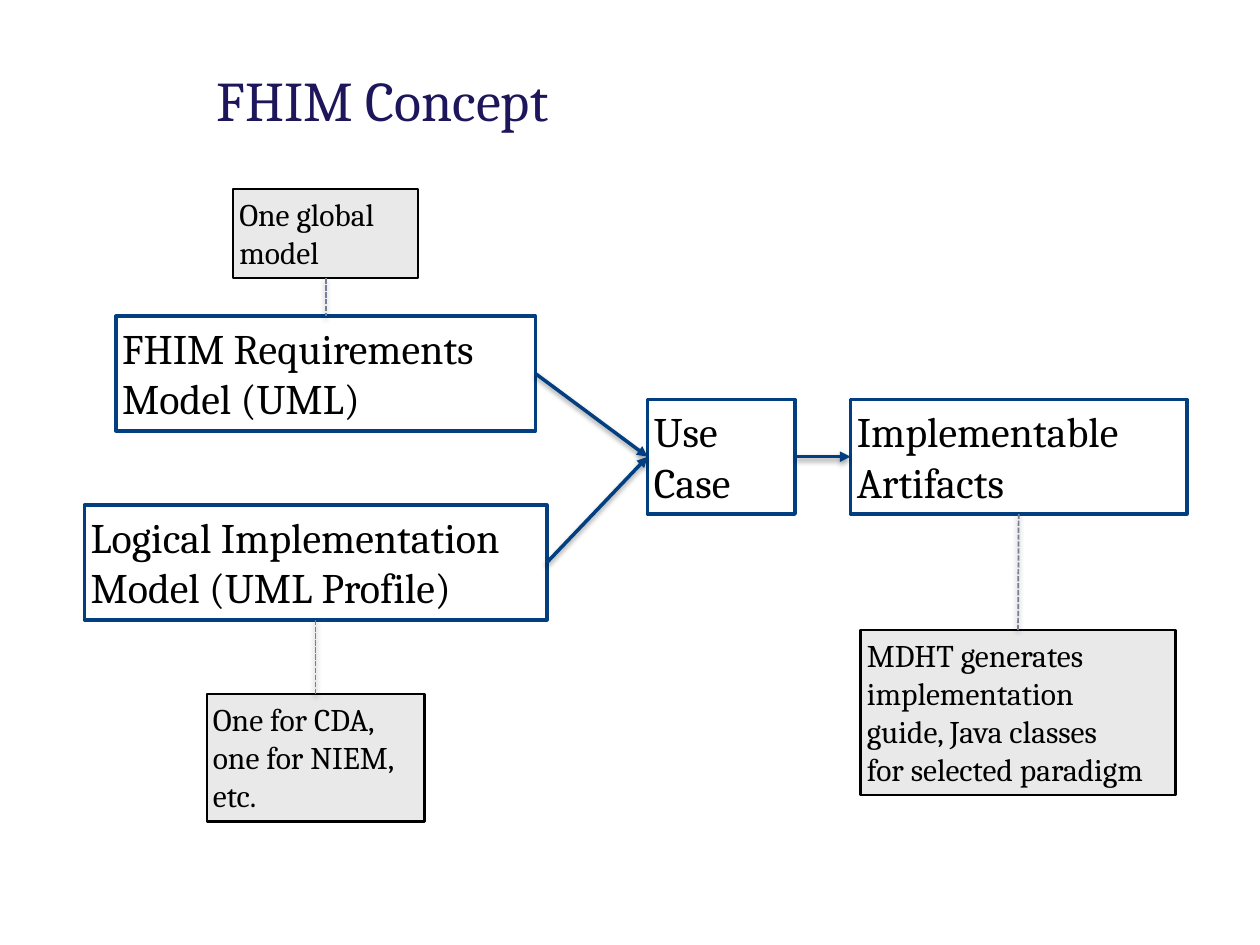
from lxml import etree
from pptx import Presentation
from pptx.dml.color import RGBColor
from pptx.enum.dml import MSO_LINE
from pptx.enum.shapes import MSO_CONNECTOR, MSO_SHAPE
from pptx.enum.text import MSO_ANCHOR, MSO_AUTO_SIZE, PP_ALIGN
from pptx.oxml import parse_xml
from pptx.oxml.ns import nsdecls, qn
from pptx.util import Inches, Pt

NAVY = RGBColor(0x1D, 0x16, 0x5A)
BLUE = RGBColor(0x01, 0x3F, 0x80)
SLATE = RGBColor(0x77, 0x7F, 0x98)
GREY = RGBColor(0xE9, 0xE9, 0xE9)
WHITE = RGBColor(0xFF, 0xFF, 0xFF)
BLACK = RGBColor(0x00, 0x00, 0x00)

FONT = "Cambria"
TOP, LEFT, BOTTOM, RIGHT = range(4)
SHADOW = (
    f'<a:effectLst {nsdecls("a")}>'
    '<a:outerShdw blurRad="38100" dist="20320" dir="5400000" rotWithShape="0">'
    '<a:srgbClr val="000000"><a:alpha val="38000"/></a:srgbClr>'
    '</a:outerShdw></a:effectLst>'
)


def write_text(shape, text, size, color, anchor):
    frame = shape.text_frame
    frame.word_wrap = True
    frame.vertical_anchor = anchor
    frame.margin_left = frame.margin_right = Inches(0.05)
    frame.margin_top = frame.margin_bottom = Inches(0.05)
    frame.text = text
    for para in frame.paragraphs:
        para.alignment = PP_ALIGN.LEFT
        para.font.name = FONT
        para.font.size = Pt(size)
        para.font.color.rgb = color


def add_title(page, text):
    box = page.shapes.add_textbox(Inches(1.67), 0, Inches(8.42), Inches(1.58))
    write_text(box, text, 32, NAVY, MSO_ANCHOR.MIDDLE)


def add_box(page, text, place, size, fill, line, weight):
    box = page.shapes.add_shape(MSO_SHAPE.RECTANGLE, *map(Inches, place))
    box.shadow.inherit = False
    box.fill.solid()
    box.fill.fore_color.rgb = fill
    box.line.color.rgb = line
    box.line.width = Pt(weight)
    write_text(box, text, size, BLACK, MSO_ANCHOR.TOP)
    box.text_frame.auto_size = MSO_AUTO_SIZE.SHAPE_TO_FIT_TEXT
    return box


def add_step(page, text, place):
    return add_box(page, text, place, 24, WHITE, BLUE, 2)


def add_note(page, text, place):
    return add_box(page, text, place, 18, GREY, BLACK, 1.25)


def add_link(page, start, start_side, end, end_side, color, weight):
    link = page.shapes.add_connector(MSO_CONNECTOR.STRAIGHT, 0, 0, 0, 0)
    link.begin_connect(start, start_side)
    link.end_connect(end, end_side)
    link.line.color.rgb = color
    link.line.width = Pt(weight)
    link._element.spPr.append(parse_xml(SHADOW))
    return link


def add_arrow(page, start, end):
    arrow = add_link(page, start, RIGHT, end, LEFT, BLUE, 2)
    etree.SubElement(arrow.line._get_or_add_ln(), qn("a:tailEnd"), type="triangle")


def add_dashed_link(page, start, start_side, end, end_side):
    link = add_link(page, start, start_side, end, end_side, SLATE, 1)
    link.line.dash_style = MSO_LINE.SQUARE_DOT


def main():
    deck = Presentation()
    deck.slide_width, deck.slide_height = Inches(10), Inches(7.5)
    page = deck.slides.add_slide(deck.slide_layouts[6])

    add_title(page, "FHIM Concept")

    # Steps from models to artifacts
    requirements = add_step(page, "FHIM Requirements\nModel (UML)", (0.92, 2.51, 3.33, 0.91))
    logical = add_step(page, "Logical Implementation Model (UML Profile)",
                       (0.67, 4.01, 3.67, 0.91))
    use_case = add_step(page, "Use\nCase", (5.14, 3.17, 1.17, 0.91))
    artifacts = add_step(page, "Implementable\nArtifacts", (6.75, 3.17, 2.67, 0.91))

    # Flow arrows
    for start, end in ((requirements, use_case), (logical, use_case), (use_case, artifacts)):
        add_arrow(page, start, end)

    # Notes, each tied to its step
    global_note = add_note(page, "One global model", (1.85, 1.5, 1.47, 0.71))
    add_dashed_link(page, global_note, BOTTOM, requirements, TOP)
    profile_note = add_note(page, "One for CDA, one for NIEM, etc.", (1.64, 5.51, 1.73, 1.01))
    add_dashed_link(page, profile_note, TOP, logical, BOTTOM)
    output_note = add_note(
        page, "MDHT generates\nimplementation\nguide, Java classes\nfor selected paradigm",
        (6.83, 5, 2.5, 1.31))
    add_dashed_link(page, output_note, TOP, artifacts, BOTTOM)

    deck.save("out.pptx")


if __name__ == "__main__":
    main()
